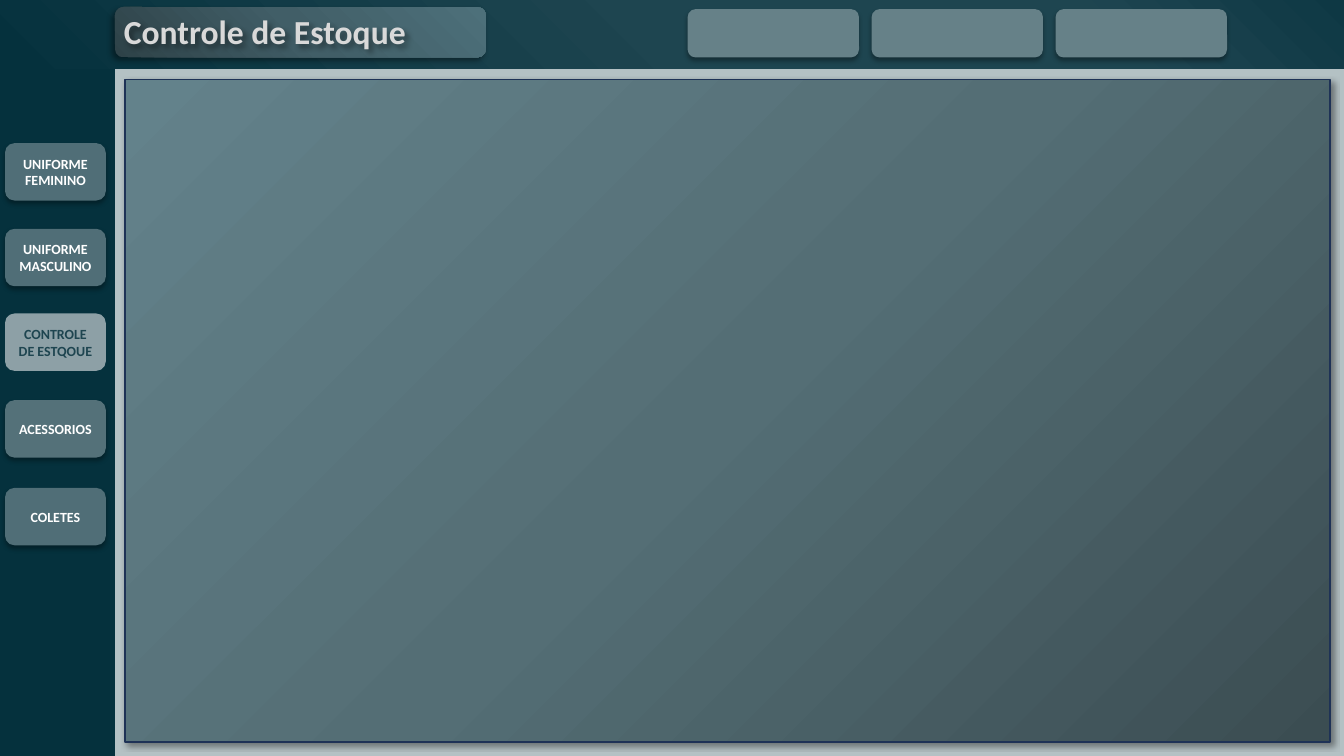
from lxml import etree
from pptx import Presentation
from pptx.dml.color import RGBColor
from pptx.enum import shapes, text
from pptx.oxml import ns
from pptx.util import Inches, Pt

BACK = RGBColor(0xB4, 0xC1, 0xC4)
NAVY = RGBColor(0x05, 0x31, 0x3D)
EDGE = RGBColor(0x1E, 0x32, 0x56)
TAB = RGBColor(0x66, 0x81, 0x88)
SLATE = RGBColor(0x50, 0x6E, 0x77)
STEEL = RGBColor(0x54, 0x71, 0x79)
PALE = RGBColor(0x8D, 0xA0, 0xA6)
TEAL = RGBColor(0x1E, 0x45, 0x50)
WHITE = RGBColor(0xFF, 0xFF, 0xFF)
GREY = RGBColor(0xD9, 0xD9, 0xD9)
BLACK = RGBColor(0, 0, 0)

HEAD = ((0, NAVY), (50, TEAL), (82, RGBColor(0x1D, 0x44, 0x50)),
        (100, RGBColor(0x0E, 0x38, 0x44)))
PLATE = ((0, RGBColor(0x2E, 0x42, 0x48)), (50, RGBColor(0x41, 0x5E, 0x67)),
         (100, RGBColor(0x4D, 0x70, 0x7A)))
PANEL = ((0, RGBColor(0x3B, 0x4D, 0x52)), (50, RGBColor(0x54, 0x6E, 0x75)),
         (100, RGBColor(0x63, 0x82, 0x8B)))

RECT = shapes.MSO_SHAPE.RECTANGLE
ROUND = shapes.MSO_SHAPE.ROUNDED_RECTANGLE
SOFT = (32, 3.5, 2.2, 90)
MENU = (
    ("UNIFORME FEMININO", 1.42, SLATE, WHITE, SOFT),
    ("UNIFORME MASCULINO", 2.27, SLATE, WHITE, SOFT),
    ("CONTROLE DE ESTQOUE", 3.11, PALE, TEAL, None),
    ("ACESSORIOS", 3.97, STEEL, WHITE, SOFT),
    ("COLETES", 4.84, SLATE, WHITE, SOFT),
)


def add_tone(parent, color):
    """Append a colour element and return it."""
    return etree.SubElement(parent, ns.qn("a:srgbClr"), val=str(color))


def blend(shape, stops, angle):
    """Fill a shape with a linear gradient, angle counter-clockwise."""
    shape.fill.gradient()
    shape.fill.gradient_angle = angle
    group = shape._element.spPr.find(".//" + ns.qn("a:gsLst"))
    for old in list(group):
        group.remove(old)
    for spot, color in stops:
        stop = etree.SubElement(group, ns.qn("a:gs"), pos=str(spot * 1000))
        add_tone(stop, color)


def shade(shape, alpha, blur, dist, angle):
    """Give a shape an outer shadow."""
    shape.shadow.inherit = False
    effect = shape._element.spPr.find(ns.qn("a:effectLst"))
    outer = etree.SubElement(
        effect, ns.qn("a:outerShdw"), blurRad=str(Pt(blur)),
        dist=str(Pt(dist)), dir=str(angle * 60000), rotWithShape="0")
    tone = add_tone(outer, BLACK)
    etree.SubElement(tone, ns.qn("a:alpha"), val=str(alpha * 1000))


def add_block(slide, kind, box, color=None, shadow=None):
    """Add a lineless shape, with a solid fill and shadow if given."""
    shape = slide.shapes.add_shape(kind, *map(Inches, box))
    shape.shadow.inherit = False
    shape.line.fill.background()
    if color is not None:
        shape.fill.solid()
        shape.fill.fore_color.rgb = color
    if shadow:
        shade(shape, *shadow)
    return shape


def write(frame, words, size, color):
    """Set bold Calibri text in a frame and return its paragraph."""
    frame.text = words
    para = frame.paragraphs[0]
    font = para.runs[0].font
    font.name, font.size, font.bold = "Calibri", Pt(size), True
    font.color.rgb = color
    return para


def draw_head(slide, left, top, width, height):
    """Draw the header band with its title plate and three blank tabs."""
    band = add_block(slide, RECT, (left, top, width, height))
    blend(band, HEAD, 45)
    plate = add_block(slide, ROUND, (left + 1.14, top + 0.09, 3.68, 0.5),
                      shadow=(40, 4, 3, 135))
    blend(plate, PLATE, 45)
    title = slide.shapes.add_textbox(
        *map(Inches, (left + 1.13, top + 0.08, 3.68, 0.5)))
    title.text_frame.word_wrap = True
    write(title.text_frame, "Controle de Estoque", 24, GREY)
    shade(title, 40, 4, 3, 45)
    for i in range(3):
        box = (left + 6.82 + i * 1.825, top + 0.11, 1.7, 0.48)
        add_block(slide, ROUND, box, TAB, SOFT)


def draw_panel(slide, *box):
    """Draw the large content panel."""
    panel = add_block(slide, RECT, box, shadow=(40, 4, 3, 45))
    blend(panel, PANEL, 135)
    panel.line.color.rgb = EDGE
    panel.line.width = Pt(1)


def draw_menu(slide, left, top, width, height):
    """Draw the side bar and its menu buttons."""
    add_block(slide, RECT, (left, top, width, height), NAVY)
    for words, down, fill, ink, shadow in MENU:
        box = (left + 0.06, top + 0.02 + down, 1, 0.57)
        item = add_block(slide, ROUND, box, fill, shadow)
        frame = item.text_frame
        frame.word_wrap = True
        frame.vertical_anchor = text.MSO_ANCHOR.MIDDLE
        write(frame, words, 10, ink).alignment = text.PP_ALIGN.CENTER


def main():
    """Build and save the slide."""
    deck = Presentation()
    deck.slide_width, deck.slide_height = Inches(13.33), Inches(7.5)
    slide = deck.slides.add_slide(deck.slide_layouts[6])
    slide.background.fill.solid()
    slide.background.fill.fore_color.rgb = BACK
    draw_menu(slide, -0.01, -0.02, 1.15, 7.54)
    draw_head(slide, 0, -0.02, 13.34, 0.7)
    draw_panel(slide, 1.24, 0.79, 11.95, 6.57)
    deck.save("out.pptx")


if __name__ == "__main__":
    main()
